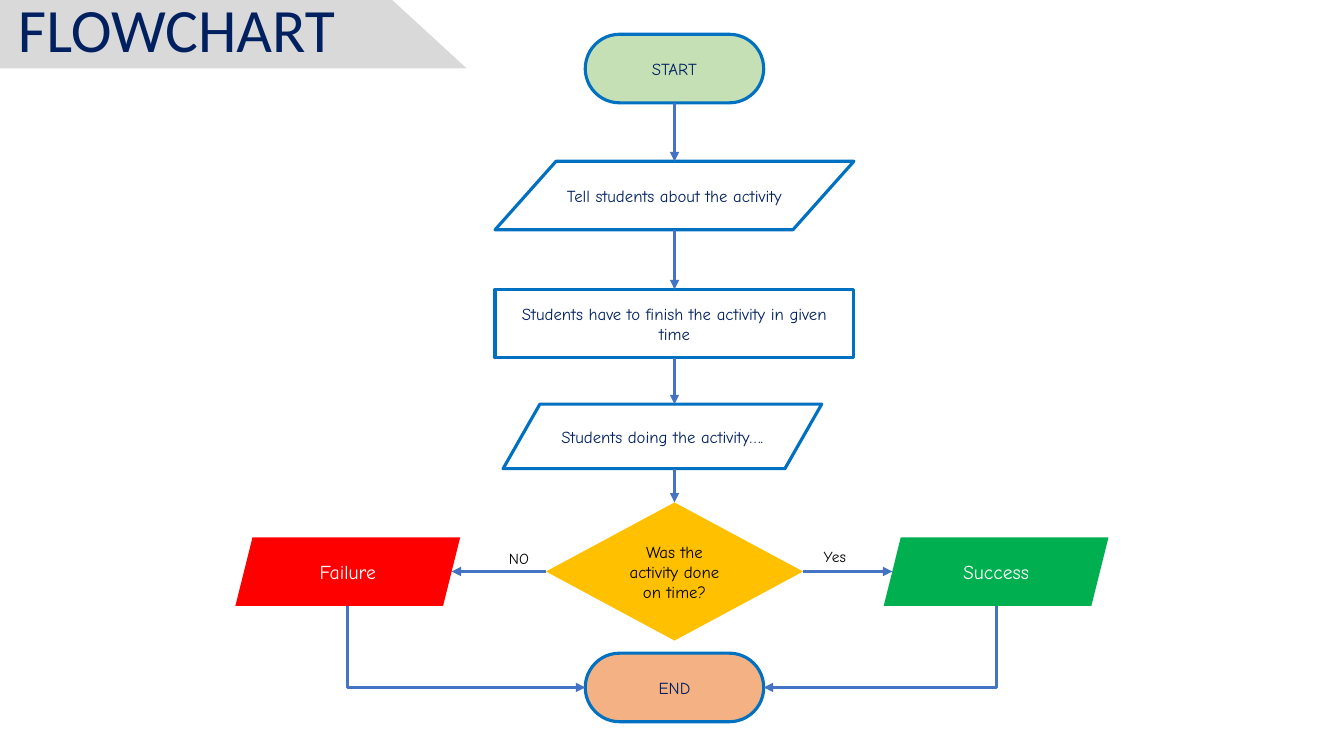
from dataclasses import dataclass
from typing import Optional

from lxml.etree import SubElement
from pptx import Presentation
from pptx.dml.color import RGBColor
from pptx.enum.shapes import MSO_CONNECTOR as Link, MSO_SHAPE as Kind
from pptx.enum.text import MSO_ANCHOR as Anchor, MSO_AUTO_SIZE as AutoSize, PP_ALIGN as Align
from pptx.oxml.ns import qn
from pptx.util import Inches, Pt

COLORS = {
    "navy": "002060", "outline": "0070C0", "arrow": "4472C4", "banner": "D9D9D9",
    "start": "C5E0B4", "end": "F4B183", "decision": "FFC000", "success": "00B050",
    "failure": "FF0000", "white": "FFFFFF", "black": "000000",
}
BODY_FONT, TITLE_FONT = "Comic Neue", "Calibri"
STROKE = Pt(2.25)

# Grid of 133.3 columns by 75 rows
WIDTH, HEIGHT = Inches(13.33), Inches(7.5)
COLUMN, ROW = WIDTH / 133.3, HEIGHT / 75
AXIS = 66.9
STEP_HEIGHT = 6.8


def cols(count: float) -> int:
    return round(count * COLUMN)


def rows(count: float) -> int:
    return round(count * ROW)


def rgb(name: str) -> RGBColor:
    return RGBColor.from_string(COLORS[name])


@dataclass
class Step:
    text: str
    kind: Kind
    middle: float
    width: float
    center: float = AXIS
    height: float = STEP_HEIGHT
    adjust: Optional[float] = None
    fill: Optional[str] = None
    outlined: bool = True
    ink: str = "navy"
    size: int = 12

    @property
    def top(self) -> float:
        return self.middle - self.height / 2

    @property
    def bottom(self) -> float:
        return self.middle + self.height / 2

    @property
    def left(self) -> float:
        return self.center - self.width / 2

    @property
    def right(self) -> float:
        return self.center + self.width / 2


@dataclass
class Label:
    text: str
    left: float
    top: float
    width: float
    height: float
    size: int
    ink: str = "black"
    font: str = BODY_FONT


def write(frame, text: str, font: str, size: int, ink: str) -> None:
    frame.text = text
    frame.word_wrap = True
    span = frame.paragraphs[0].runs[0]
    span.font.name, span.font.size = font, Pt(size)
    span.font.color.rgb = rgb(ink)


def draw_step(page, step: Step) -> None:
    box = page.shapes.add_shape(step.kind, cols(step.left), rows(step.top),
                                cols(step.width), rows(step.height))
    box.shadow.inherit = False
    if step.adjust is not None:
        box.adjustments[0] = step.adjust
    if step.fill:
        box.fill.solid()
        box.fill.fore_color.rgb = rgb(step.fill)
    else:
        box.fill.background()
    if step.outlined:
        box.line.color.rgb, box.line.width = rgb("outline"), STROKE
    else:
        box.line.fill.background()
    write(box.text_frame, step.text, BODY_FONT, step.size, step.ink)
    box.text_frame.vertical_anchor = Anchor.MIDDLE
    box.text_frame.paragraphs[0].alignment = Align.CENTER


def draw_label(page, label: Label) -> None:
    box = page.shapes.add_textbox(cols(label.left), rows(label.top),
                                  cols(label.width), rows(label.height))
    write(box.text_frame, label.text, label.font, label.size, label.ink)
    box.text_frame.auto_size = AutoSize.SHAPE_TO_FIT_TEXT


def draw_arrow(page, x1: float, y1: float, x2: float, y2: float, link: Link = Link.STRAIGHT):
    arrow = page.shapes.add_connector(link, cols(x1), rows(y1), cols(x2), rows(y2))
    arrow.line.color.rgb, arrow.line.width = rgb("arrow"), STROKE
    SubElement(arrow.line._get_or_add_ln(), qn("a:tailEnd"), type="triangle")
    SubElement(arrow._element.spPr, qn("a:effectLst"))
    return arrow


def draw_corner(page, x1: float, y1: float, x2: float, y2: float) -> None:
    """Arrow that runs down first, then sideways: a turned one-bend connector."""
    mid_x, mid_y = (x1 + x2) / 2, (y1 + y2) / 2
    half_w, half_h = (y2 - y1) / 2, abs(x2 - x1) / 2
    side = 1 if x2 > x1 else -1
    arrow = draw_arrow(page, mid_x + side * half_w, mid_y - half_h,
                       mid_x - side * half_w, mid_y + half_h, Link.ELBOW)
    if side < 0:
        turn = 90
    else:
        turn = 270
    properties = arrow._element.spPr
    properties.find(qn("a:xfrm")).set("rot", str(turn * 60000))
    properties.find(qn("a:prstGeom")).set("prst", "bentConnector2")


# Steps down the axis, then the two outcomes
start = Step("START", Kind.ROUNDED_RECTANGLE, 6.8, 17.7, adjust=0.5, fill="start")
tell = Step("Tell students about the activity", Kind.PARALLELOGRAM, 19.4, 35.6, adjust=0.89)
finish = Step("Students have to finish the activity in given time",
              Kind.ROUNDED_RECTANGLE, 32.1, 35.6, adjust=0)
doing = Step("Students doing the activity….", Kind.PARALLELOGRAM, 43.3, 31.6,
             center=65.7, height=6.4, adjust=0.57)
decision = Step("Was the activity done on time?", Kind.DIAMOND, 56.7, 25.5, height=13.7,
                fill="decision", outlined=False, ink="black")
end = Step("END", Kind.ROUNDED_RECTANGLE, 68.2, 17.7, adjust=0.5, fill="end")
success, failure = (
    Step(text, Kind.PARALLELOGRAM, decision.middle, 22.3, center=center, adjust=0.25,
         fill=fill, outlined=False, ink="white", size=14)
    for text, center, fill in (("Success", 98.8, "success"), ("Failure", 34.5, "failure")))
SLANT = 0.25 * STEP_HEIGHT / 2

LABELS = [
    Label("Yes", 80.7, 53.8, 8.1, 2.9, 11),
    Label("NO", 49.5, 54, 5.6, 2.9, 11),
    Label("FLOWCHART", 0.8, -1.4, 33.8, 8.4, 44, "navy", TITLE_FONT),
]

deck = Presentation()
deck.slide_width, deck.slide_height = WIDTH, HEIGHT
page = deck.slides.add_slide(deck.slide_layouts[6])

# Title banner
outline = page.shapes.build_freeform(0, 0)
outline.add_line_segments([(cols(38.9), 0), (cols(46.3), rows(STEP_HEIGHT)),
                           (0, rows(STEP_HEIGHT))], close=True)
banner = outline.convert_to_shape()
banner.shadow.inherit = False
banner.fill.solid()
banner.fill.fore_color.rgb = rgb("banner")
banner.line.fill.background()

# Flow
main_path = [start, tell, finish, doing, decision]
for step in [*main_path, end, success, failure]:
    draw_step(page, step)
for upper, lower in zip(main_path, main_path[1:]):
    draw_arrow(page, AXIS, upper.bottom, AXIS, lower.top)
draw_arrow(page, decision.left, decision.middle, failure.right - SLANT, failure.middle)
draw_arrow(page, decision.right, decision.middle, success.left + SLANT, success.middle)
draw_corner(page, failure.center, failure.bottom, end.left, end.middle)
draw_corner(page, success.center, success.bottom, end.right, end.middle)

# Title and branch labels
for label in LABELS:
    draw_label(page, label)

deck.save("out.pptx")
